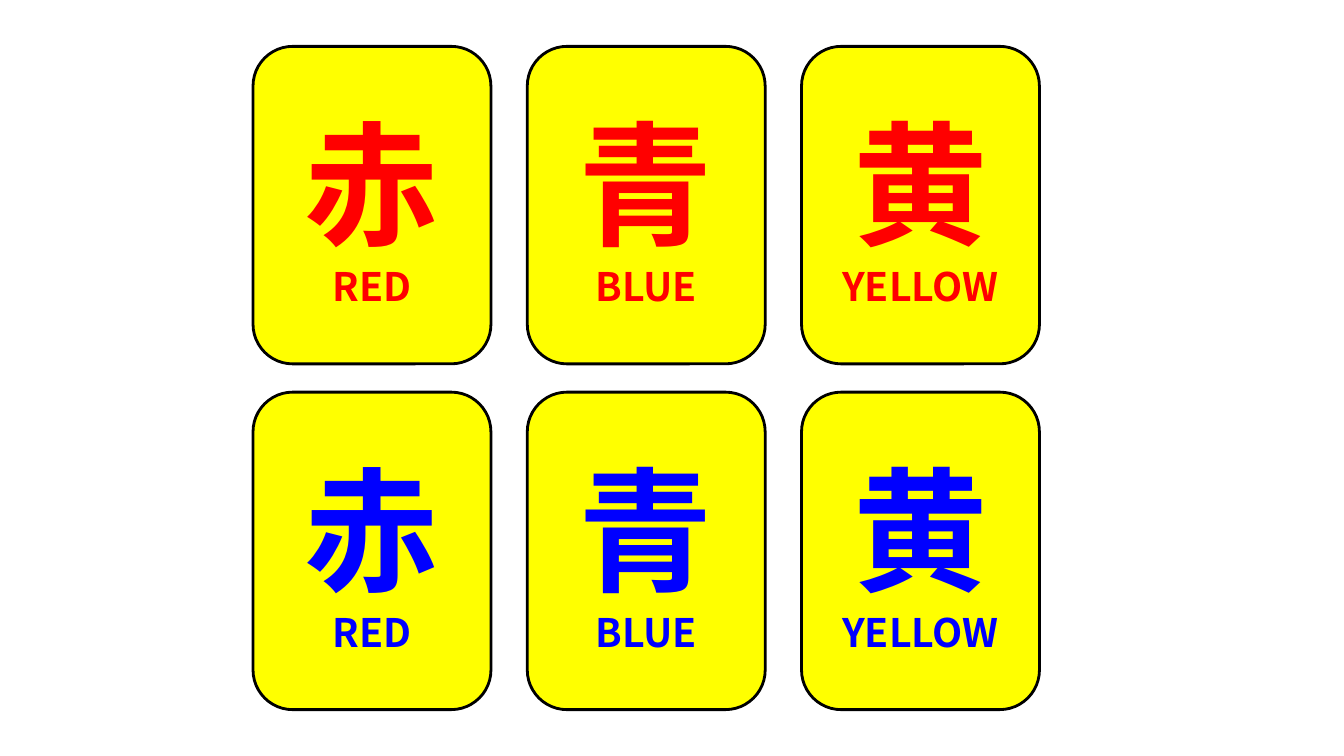
from lxml import etree
from pptx import Presentation
from pptx.dml.color import RGBColor
from pptx.enum.shapes import MSO_SHAPE
from pptx.enum.text import MSO_ANCHOR, PP_ALIGN
from pptx.oxml.ns import qn
from pptx.util import Inches, Pt

ROUNDED = MSO_SHAPE.ROUNDED_RECTANGLE
MIDDLE = MSO_ANCHOR.MIDDLE
CENTER = PP_ALIGN.CENTER
FONT = "Noto Sans CJK JP"
COLORS = {"card": "FFFF00", "border": "000000", "red": "FF0000", "blue": "0000FF"}
WORDS = [("赤", "RED"), ("青", "BLUE"), ("黄", "YELLOW")]
ROW_COLORS = ["red", "blue"]
CARD_WIDTH, CARD_HEIGHT = 2.36, 3.15
COLUMN_STEP, ROW_STEP = 2.72, 3.43


def color(name):
    """Return the named colour."""
    return RGBColor.from_string(COLORS[name])


def format_run(run, size, color_name):
    """Style a run as bold, coloured text with a thin outline."""
    font = run.font
    font.name, font.size, font.bold = FONT, Pt(size), True
    font.color.rgb = color(color_name)
    properties = run._r.get_or_add_rPr()
    outline = etree.Element(qn("a:ln"), w=str(Pt(0.75)))
    fill = etree.SubElement(outline, qn("a:solidFill"))
    etree.SubElement(fill, qn("a:srgbClr"), val=COLORS["border"])
    properties.insert(0, outline)
    etree.SubElement(properties, qn("a:ea"), typeface=FONT)


def add_card(slide, left, top, words, color_name):
    """Add one card with a kanji above its English word."""
    card = slide.shapes.add_shape(
        ROUNDED, Inches(left), Inches(top), Inches(CARD_WIDTH), Inches(CARD_HEIGHT))
    card.shadow.inherit = False
    card.fill.solid()
    card.fill.fore_color.rgb = color("card")
    card.line.color.rgb = color("border")
    card.line.width = Pt(2)
    text_frame = card.text_frame
    text_frame.word_wrap = True
    text_frame.vertical_anchor = MIDDLE
    text_frame.text = "\n".join(words)
    for paragraph, size in zip(text_frame.paragraphs, (96, 28)):
        paragraph.alignment = CENTER
        format_run(paragraph.runs[0], size, color_name)


def add_card_grid(slide, left, top):
    """Lay out one row of cards for each text colour."""
    for row, color_name in enumerate(ROW_COLORS):
        for column, words in enumerate(WORDS):
            add_card(slide, left + column * COLUMN_STEP, top + row * ROW_STEP,
                     words, color_name)


def main():
    """Build and save the presentation."""
    presentation = Presentation()
    presentation.slide_width = Inches(13.33)
    presentation.slide_height = Inches(7.5)
    slide = presentation.slides.add_slide(presentation.slide_layouts[6])
    add_card_grid(slide, 2.51, 0.46)
    presentation.save("out.pptx")


if __name__ == "__main__":
    main()
